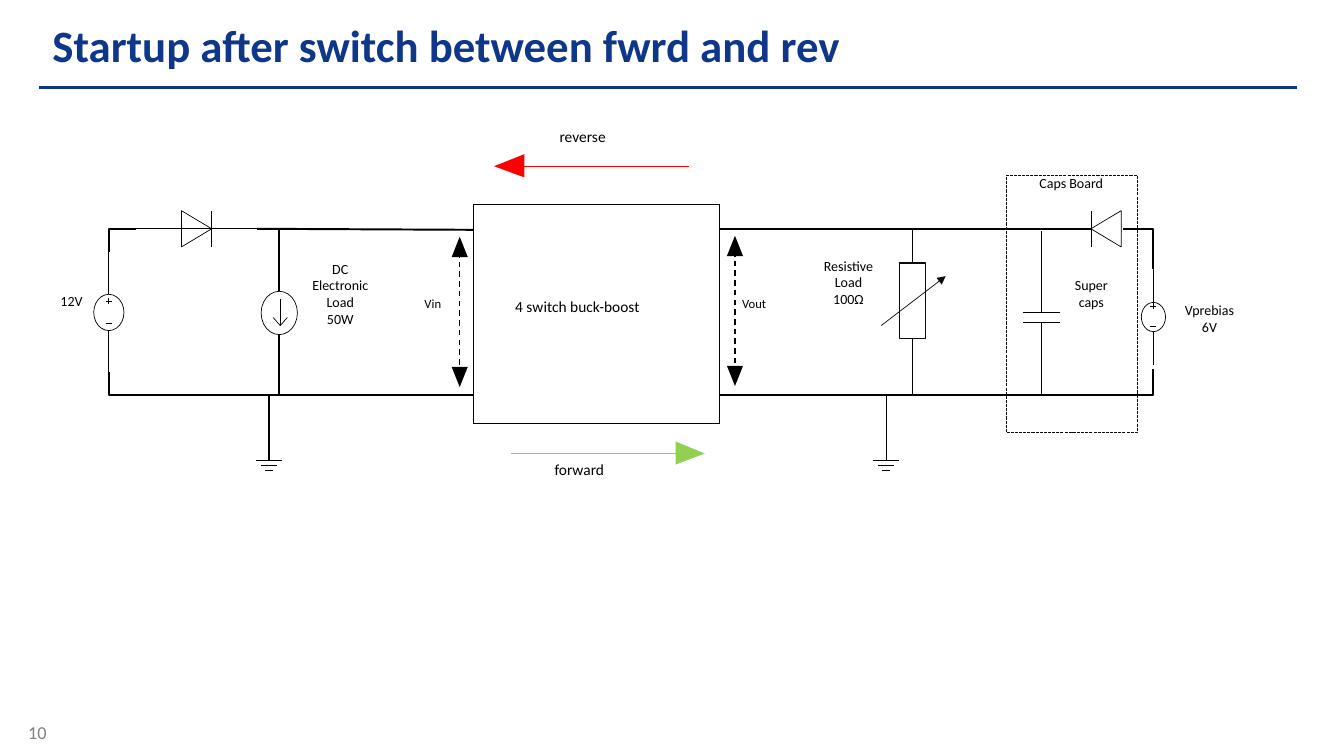
import pptx
import pptx.util
import pptx.dml.color
import pptx.enum.dml
import pptx.enum.shapes
import pptx.enum.text
import pptx.oxml
import pptx.oxml.ns

PX = 9144
NAVY, BLACK, INK, WHITE = "0E3689", "000000", "0A0B0F", "FFFFFF"
RED, GREEN, GRAY = "FF0000", "92D050", "808080"
THIN, WIRE = 0.5, 1.38
RAIL, BASE = 227, 392
BUCK, OUT = 470, 714
SOURCE, LOAD, RESIST, CAPS, BIAS = 108, 277, 905, 1033, 1144
VIN, VOUT = 456, 729
Kind = pptx.enum.shapes.MSO_SHAPE
Dash = pptx.enum.dml.MSO_LINE
Side = pptx.enum.text.PP_ALIGN
STRAIGHT = pptx.enum.shapes.MSO_CONNECTOR.STRAIGHT
SPACE = pptx.oxml.ns.nsdecls("a")


def hue(target, code):
    target.rgb = pptx.dml.color.RGBColor.from_string(code)


def paint(shape, edge, width, fill=None):
    shape.shadow.inherit = False
    if fill:
        shape.fill.solid()
        hue(shape.fill.fore_color, fill)
    else:
        shape.fill.background()
    if edge:
        hue(shape.line.color, edge)
        shape.line.width = pptx.util.Pt(width)
    else:
        shape.line.fill.background()


deck = pptx.Presentation()
deck.slide_width, deck.slide_height = 1333 * PX, 750 * PX
slide = deck.slides.add_slide(deck.slide_layouts[5])
shapes = slide.shapes

title = shapes.title
title.left, title.top, title.width, title.height = 39 * PX, 11 * PX, 1247 * PX, 85 * PX
frame = title.text_frame
frame.text = "Startup after switch between fwrd and rev"
frame.word_wrap = True
frame.auto_size = pptx.enum.text.MSO_AUTO_SIZE.NONE
frame.vertical_anchor = pptx.enum.text.MSO_ANCHOR.TOP
frame.margin_left = frame.margin_right = 13 * PX
frame.margin_top = frame.margin_bottom = 7 * PX
head = frame.paragraphs[0]
head.alignment = Side.LEFT
head.font.name, head.font.size, head.font.bold = "Calibri", pptx.util.Pt(32), True
hue(head.font.color, NAVY)

blocks = {
    "buck": (Kind.RECTANGLE, BUCK, 203, OUT - BUCK, 217, BLACK, THIN),
    "load": (Kind.OVAL, 259, 289, 36, 43, BLACK, THIN),
    "source": (Kind.OVAL, 93, 292, 30, 36, BLACK, THIN),
    "bias": (Kind.OVAL, 1132, 300, 24, 29, BLACK, THIN),
    "resist": (Kind.RECTANGLE, 892, 261, 26, 75, INK, 1),
    "board": (Kind.RECTANGLE, 998, 174, 130, 255, INK, 0.75),
}
parts = {}
for name, (kind, x, y, w, h, edge, width) in blocks.items():
    parts[name] = shapes.add_shape(kind, x * PX, y * PX, w * PX, h * PX)
    paint(parts[name], edge, width)
parts["board"].line.dash_style = Dash.SQUARE_DOT

solids = [
    ([(670, 438), (699, 450), (670, 461)], None, GREEN),
    ([(520, 176), (490, 165), (520, 153)], None, RED),
]
for back, tip in ((180, 210), (1112, 1082)):
    solids.append(([(back, RAIL - 18), (tip, RAIL), (back, RAIL + 18)], BLACK, WHITE))
for x, top in ((VIN, 235), (VOUT, 234)):
    for tip, back in ((top, top + 20), (top + 149, top + 129)):
        solids.append(([(x, tip), (x + 8, back), (x - 8, back)], None, BLACK))

for points, edge, fill in solids:
    pen = shapes.build_freeform(*points[0], scale=PX)
    pen.add_line_segments(points[1:], close=True)
    paint(pen.convert_to_shape(), edge, THIN, fill)

source_in = [(SOURCE, 250), (SOURCE, RAIL), (135, RAIL)]
source_out = [(SOURCE, 369), (SOURCE, BASE), (BUCK, BASE)]
caps_out = [(CAPS, 368), (CAPS, BASE), (OUT, BASE)]
bias_in = [(BIAS, 267), (BIAS, RAIL), (1114, RAIL)]
bias_out = [(BIAS, 366), (BIAS, BASE), (928, BASE)]
sketches = [([turn], WIRE) for turn in (source_in, source_out, caps_out, bias_in, bias_out)]

for x in (210, 1082):
    sketches.append(([[(x, RAIL - 18), (x, RAIL + 18)]], THIN))
sketches.append(([[(271, 315), (278, 323), (285, 315)]], THIN))

capacitor = []
for plate, end in ((310, 261), (320, 368)):
    capacitor += [[(CAPS - 18, plate), (CAPS + 18, plate)], [(CAPS, plate), (CAPS, end)]]
sketches.append((capacitor, THIN))

for x in (267, 879):
    ground = [[(x, BASE), (x, 457)]]
    for half, y in ((13, 457), (8, 462), (4, 467)):
        ground.append([(x - half, y), (x + half, y)])
    sketches.append((ground, 1))

for name, x, start, end, gap in (("source", SOURCE, 250, 369, 11), ("bias", BIAS, 267, 362, 10)):
    cell = parts[name]
    top, low = cell.top // PX, (cell.top + cell.height) // PX
    mid = (top + low) // 2
    plus, minus = mid - gap, mid + gap
    stems = [[(x, start), (x, top)], [(x, low), (x, end)]]
    signs = [[(x, plus - 3), (x, plus + 3)]]
    signs += [[(x - 3, y), (x + 3, y)] for y in (plus, minus)]
    sketches.append((stems + signs, THIN))

for strokes, width in sketches:
    pen = shapes.build_freeform(*strokes[0][0], scale=PX)
    for stroke in strokes:
        pen.move_to(*stroke[0])
        pen.add_line_segments(stroke[1:], close=False)
    paint(pen.convert_to_shape(), BLACK, width)

lines = {
    "rule": (39, 87, 1286, 87, NAVY, 2),
    "forward": (507, 450, 672, 450, GREEN, 1),
    "reverse": (517, 165, 683, 165, RED, 1),
    "output": (OUT, RAIL, 1082, RAIL, BLACK, WIRE),
    "input": (BUCK, 228, 255, RAIL, BLACK, WIRE),
    "diode": (135, RAIL, 255, RAIL, BLACK, THIN),
    "caps": (CAPS, 261, CAPS, 229, BLACK, WIRE),
    "current": (278, 297, 278, 323, BLACK, THIN),
    "load top": (LOAD, 289, LOAD, RAIL, BLACK, WIRE),
    "load low": (LOAD, 331, LOAD, BASE, BLACK, WIRE),
    "resist top": (RESIST, 261, RESIST, RAIL, BLACK, WIRE),
    "resist low": (RESIST, 336, RESIST, BASE, BLACK, WIRE),
    "vary": (874, 323, 938, 274, INK, THIN),
    "vin": (VIN, 250, VIN, 366, BLACK, 1),
    "vout": (VOUT, 249, VOUT, 365, BLACK, 1),
}
wires = {}
for name, (x, y, right, low, edge, width) in lines.items():
    wire = shapes.add_connector(STRAIGHT, x * PX, y * PX, right * PX, low * PX)
    hue(wire.line.color, edge)
    wire.line.width = pptx.util.Pt(width)
    wire._element.spPr.append(pptx.oxml.parse_xml(f"<a:effectLst {SPACE}/>"))
    wires[name] = wire

for name in ("vin", "vout"):
    wires[name].line.dash_style = Dash.DASH
wires["resist top"].begin_connect(parts["resist"], 0)
wires["resist low"].begin_connect(parts["resist"], 2)
stroke = wires["vary"]._element.spPr.find(pptx.oxml.ns.qn("a:ln"))
stroke.append(pptx.oxml.parse_xml(f'<a:tailEnd {SPACE} type="triangle"/>'))

labels = [
    (1167, 299, 65, 51, "Vprebias\n6V", 10, Side.CENTER, BLACK),
    (511, 295, 161, 28, "4 switch buck-boost", 11, Side.LEFT, BLACK),
    (421, 294, 48, 45, "Vin", 9, Side.LEFT, BLACK),
    (736, 294, 64, 45, "Vout", 9, Side.LEFT, BLACK),
    (1061, 274, 43, 51, "Super\ncaps", 10, Side.CENTER, BLACK),
    (550, 456, 95, 45, "forward", 11, Side.LEFT, BLACK),
    (60, 290, 29, 26, "12V", 10, Side.LEFT, BLACK),
    (555, 126, 89, 45, "reverse", 11, Side.LEFT, BLACK),
    (301, 258, 73, 103, "DC\nElectronic\nLoad\n50W", 10, Side.CENTER, BLACK),
    (809, 255, 65, 77, "Resistive\nLoad\n100Ω", 10, Side.CENTER, BLACK),
    (1021, 173, 83, 26, "Caps Board", 10, Side.CENTER, BLACK),
    (28, 716, 49, 30, "10", 13, Side.LEFT, GRAY),
]
for x, y, w, h, words, size, side, color in labels:
    frame = shapes.add_textbox(x * PX, y * PX, w * PX, h * PX).text_frame
    frame.word_wrap = True
    frame.margin_left = frame.margin_right = frame.margin_top = frame.margin_bottom = 0
    frame.text = words
    for para in frame.paragraphs:
        para.alignment = side
        para.font.name, para.font.size = "Calibri", pptx.util.Pt(size)
        hue(para.font.color, color)

deck.save("out.pptx")
